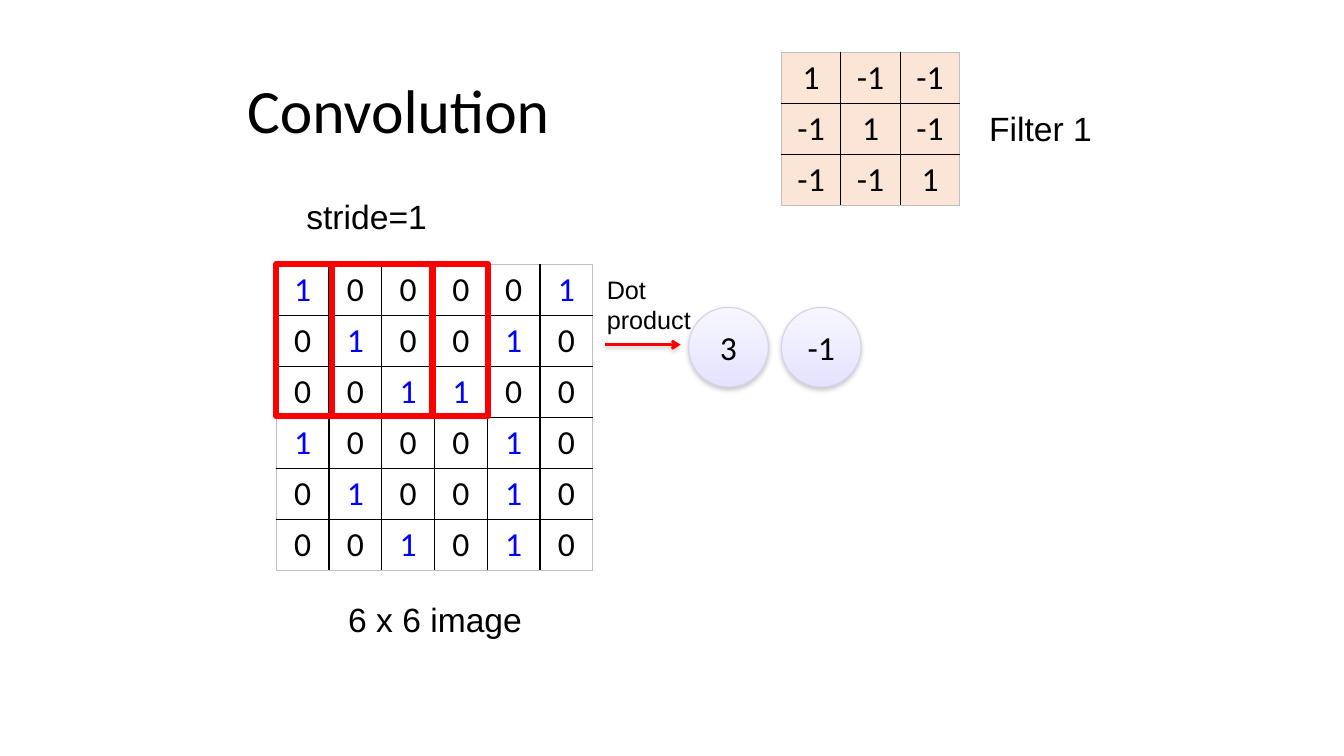
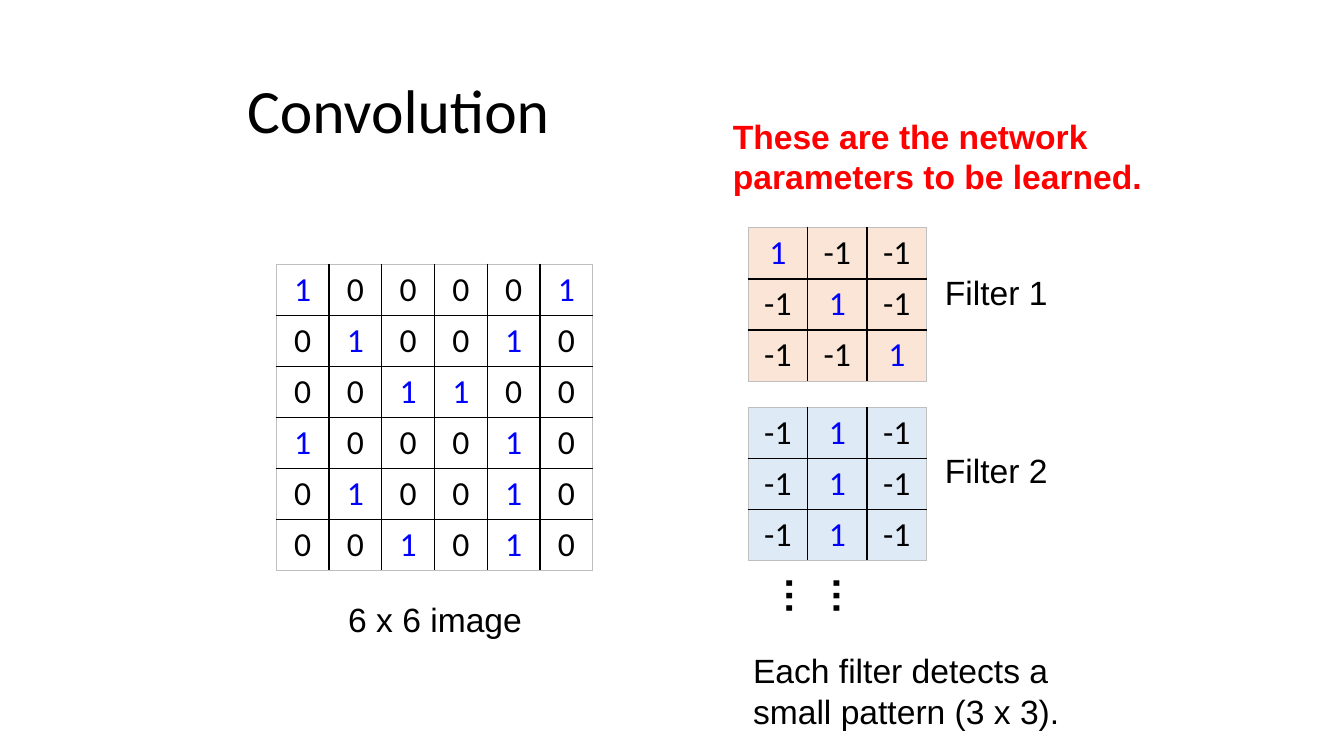
from dataclasses import dataclass

from pptx import Presentation
from pptx import util as u
from pptx.dml.color import RGBColor
from pptx.enum import shapes, text
from pptx.oxml import parse_xml
from pptx.oxml.ns import nsdecls, qn
from pptx.slide import Slide

BLACK, BLUE, RED, GREY = "000000", "0000FF", "FF0000", "BFBFBF"
PEACH, SKY = "FBE5D6", "DEEBF7"
SANS, BODY = "Arial", "Calibri"
LEFT, MID = text.PP_ALIGN.LEFT, text.PP_ALIGN.CENTER

IMAGE = ["100001", "010010", "001100", "100010", "010010", "001010"]
DIAG = [[1, -1, -1], [-1, 1, -1], [-1, -1, 1]]
STRIPE = [[-1, 1, -1]] * 3


@dataclass
class Label:
    words: str
    x: float
    y: float
    w: float
    h: float
    size: int = 24
    color: str = BLACK
    bold: bool = False
    align: text.PP_ALIGN = LEFT
    wrap: bool = True
    turn: int = 0


@dataclass
class Grid:
    rows: list
    x: float
    y: float
    w: float
    h: float
    fill: str = ""
    one: str = BLUE


PIXELS = Grid([[int(c) for c in row] for row in IMAGE], 2.74, 2.62, 3.14, 3)
SIZE = Label("6 x 6 image", 3.03, 5.89, 2.57, 0.5, align=MID)


def rgb(color: str) -> RGBColor:
    return RGBColor.from_string(color)


def style(frame: text, size: int, color: str, font: str,
          bold: bool = False, align: text.PP_ALIGN = LEFT) -> None:
    for para in frame.paragraphs:
        para.alignment = align
        for run in para.runs:
            run.font.size, run.font.name = u.Pt(size), font
            run.font.bold = bold
            run.font.color.rgb = rgb(color)


def add_label(slide: Slide, item: Label) -> None:
    box = slide.shapes.add_textbox(*map(u.Inches, (item.x, item.y, item.w, item.h)))
    box.rotation = item.turn
    frame = box.text_frame
    frame.word_wrap = item.wrap
    frame.auto_size = text.MSO_AUTO_SIZE.SHAPE_TO_FIT_TEXT
    frame.text = item.words
    style(frame, item.size, item.color, SANS, item.bold, item.align)


def add_edge(cell, side: str, outer: bool) -> None:
    color, width = (GREY, 0.75) if outer else (BLACK, 1)
    cell._tc.get_or_add_tcPr().append(parse_xml(
        f'<a:ln{side} {nsdecls("a")} w="{u.Pt(width)}"><a:solidFill>'
        f'<a:srgbClr val="{color}"/></a:solidFill></a:ln{side}>'))


def add_grid(slide: Slide, grid: Grid) -> None:
    high, wide = len(grid.rows), len(grid.rows[0])
    table = slide.shapes.add_table(
        high, wide, *map(u.Inches, (grid.x, grid.y, grid.w, grid.h))).table
    table.first_row = table.horz_banding = False
    for r, row in enumerate(grid.rows):
        for c, value in enumerate(row):
            cell = table.cell(r, c)
            cell.text_frame.text = str(value)
            style(cell.text_frame, 24, grid.one if value == 1 else BLACK, BODY, align=MID)
            ends = {"L": c == 0, "R": c == wide - 1, "T": r == 0, "B": r == high - 1}
            for side, outer in ends.items():
                add_edge(cell, side, outer)
            if grid.fill:
                cell.fill.solid()
                cell.fill.fore_color.rgb = rgb(grid.fill)
            else:
                cell.fill.background()


def add_shade(shape) -> None:
    """Give the shape a soft grey shadow straight below it."""
    props = shape._element.spPr
    for old in props.findall(qn("a:effectLst")):
        props.remove(old)
    props.append(parse_xml(
        f'<a:effectLst {nsdecls("a")}><a:outerShdw blurRad="{u.Pt(3.1)}" '
        f'dist="{u.Pt(1.6)}" dir="5400000" rotWithShape="0"><a:srgbClr val="808080">'
        '<a:alpha val="38000"/></a:srgbClr></a:outerShdw></a:effectLst>'))


def add_ring(slide: Slide, x: float) -> None:
    """Frame one 3 x 3 window of the image."""
    ring = slide.shapes.add_shape(
        shapes.MSO_SHAPE.RECTANGLE, *map(u.Inches, (x, PIXELS.y, 1.55, 1.51)))
    ring.shadow.inherit = False
    ring.fill.background()
    ring.line.color.rgb = rgb(RED)
    ring.line.width = u.Pt(4.5)


def add_ball(slide: Slide, x: float, value: str) -> None:
    ball = slide.shapes.add_shape(
        shapes.MSO_SHAPE.OVAL, *map(u.Inches, (x, 3.05, 0.79, 0.79)))
    ball.fill.gradient()
    ball.fill.gradient_angle = 270
    for stop, color in zip(ball.fill.gradient_stops, ("F7F6FF", "E5E3FF")):
        stop.color.rgb = rgb(color)
    ball.line.color.rgb = rgb("D4D3E7")
    ball.line.width = u.Pt(0.75)
    add_shade(ball)
    ball.text_frame.text = value
    ball.text_frame.vertical_anchor = text.MSO_ANCHOR.MIDDLE
    style(ball.text_frame, 24, BLACK, BODY, align=MID)


def add_arrow(slide: Slide, x: float, y: float, end: float) -> None:
    arrow = slide.shapes.add_connector(
        shapes.MSO_CONNECTOR.STRAIGHT, *map(u.Inches, (x, y, end, y)))
    arrow.line.color.rgb = rgb(RED)
    arrow.line.width = u.Pt(2)
    arrow._element.spPr.find(qn("a:ln")).append(
        parse_xml(f'<a:tailEnd {nsdecls("a")} type="arrow"/>'))
    add_shade(arrow)


def add_slide(deck: Presentation, grids: list[Grid], labels: list[Label]) -> Slide:
    slide = deck.slides.add_slide(deck.slide_layouts[5])
    title = slide.shapes.title
    title.left, title.top, title.width, title.height = map(
        u.Inches, (2.35, 0.4, 8.62, 1.45))
    frame = title.text_frame
    frame.text = "Convolution"
    frame.vertical_anchor = text.MSO_ANCHOR.MIDDLE
    frame.paragraphs[0].line_spacing = 0.9
    style(frame, 44, BLACK, BODY)
    for grid in [PIXELS] + grids:
        add_grid(slide, grid)
    for item in [SIZE] + labels:
        add_label(slide, item)
    return slide


def main() -> None:
    deck = Presentation()
    deck.slide_width, deck.slide_height = u.Inches(13.33), u.Inches(7.5)

    stride = add_slide(
        deck,
        [Grid(DIAG, 7.75, 0.52, 1.77, 1.5, PEACH, BLACK)],
        [Label("Filter 1", 9.53, 1.02, 1.58, 0.51, align=MID),
         Label("stride=1", 2.94, 1.89, 1.41, 0.5, wrap=False),
         Label("Dot\nproduct", 5.92, 2.67, 1.04, 0.71, 18, wrap=False)])
    for x in (2.74, 3.29):
        add_ring(stride, x)
    for x, value in ((6.83, "3"), (7.75, "-1")):
        add_ball(stride, x, value)
    add_arrow(stride, 6, 3.42, 6.75)

    add_slide(
        deck,
        [Grid(DIAG, 7.42, 2.26, 1.77, 1.5, PEACH),
         Grid(STRIPE, 7.42, 4.04, 1.77, 1.5, SKY)],
        [Label("Filter 1", 9.09, 2.65, 1.58, 0.51, align=MID),
         Label("Filter 2", 9.09, 4.41, 1.58, 0.51, align=MID),
         Label("……", 8.04, 5.73, 0.77, 0.56, 28, bold=True, turn=90),
         Label("These are the network parameters to be learned.",
               7.17, 1.1, 4.33, 0.88, color=RED, bold=True),
         Label("Each filter detects a small pattern (3 x 3).",
               7.37, 6.4, 3.89, 0.88)])
    deck.save("out.pptx")


if __name__ == "__main__":
    main()
